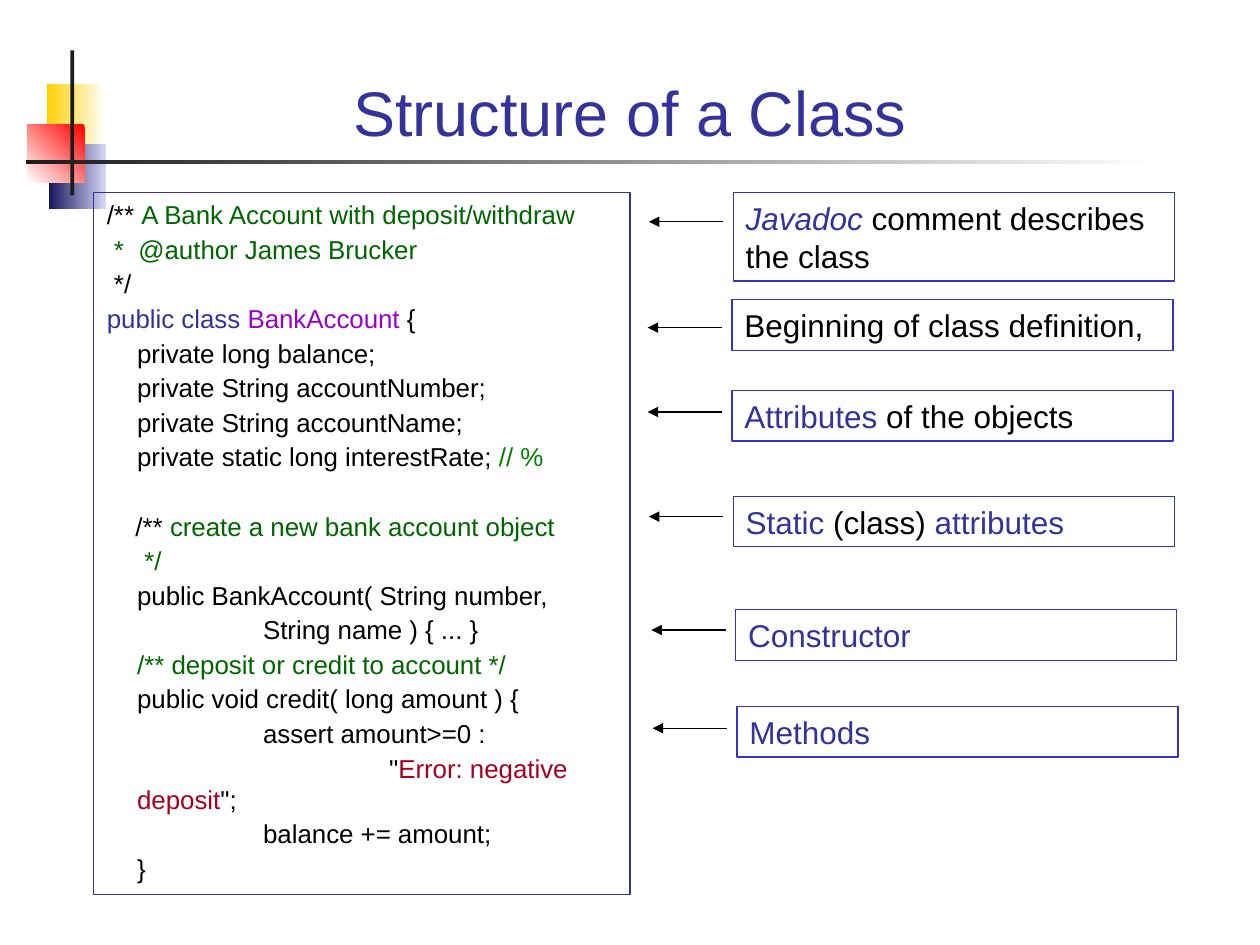
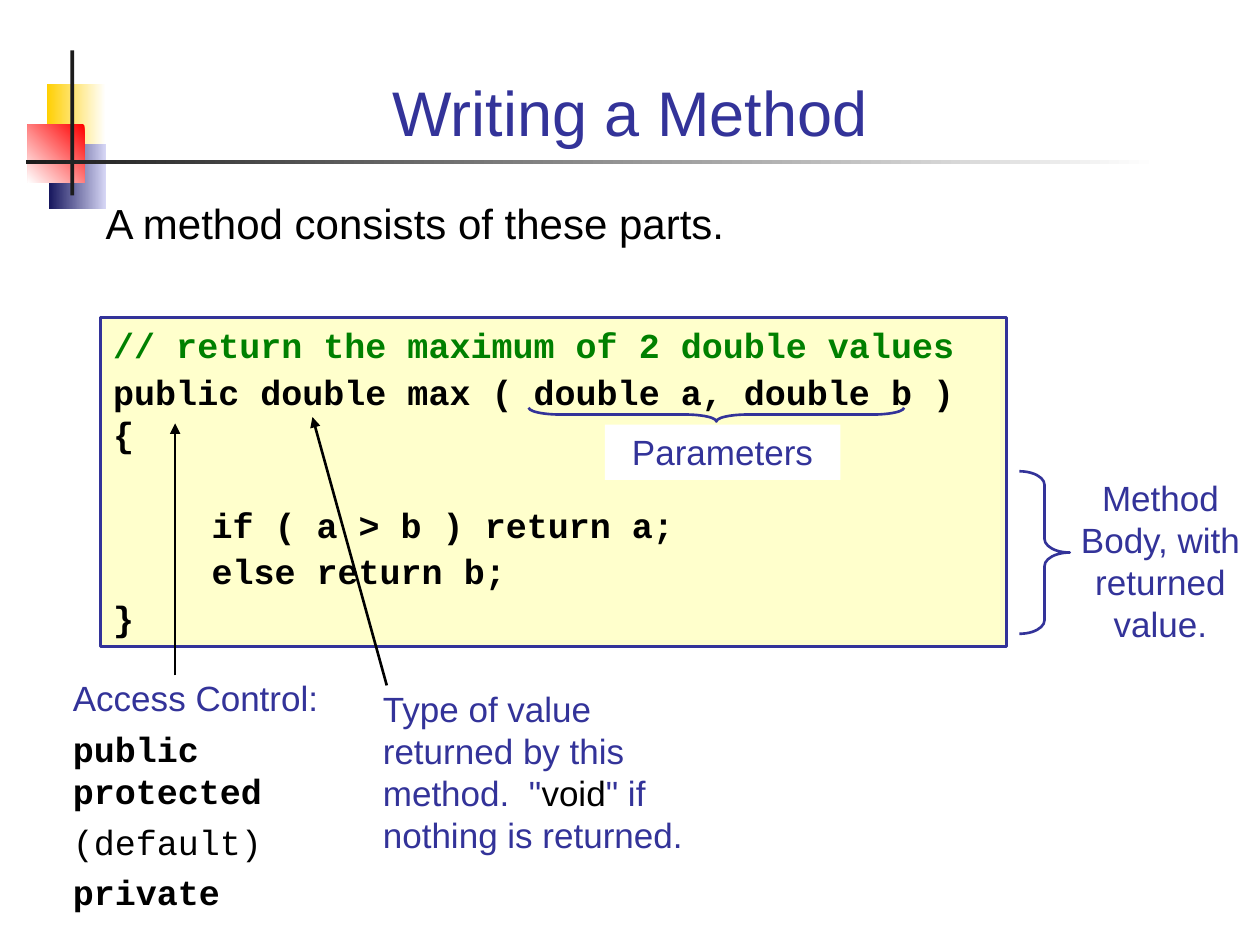
from dataclasses import dataclass

from lxml import etree
from pptx import Presentation
from pptx import util as u
from pptx.dml.color import RGBColor
from pptx.enum import shapes, text
from pptx.oxml.ns import qn

PX = 9144  # 100 px to the inch
TITLE_ONLY = 5

BLACK = RGBColor(0x00, 0x00, 0x00)
WHITE = RGBColor(0xFF, 0xFF, 0xFF)
INDIGO = RGBColor(0x33, 0x33, 0x99)
BLUE = RGBColor(0x33, 0x33, 0xCC)
NAVY = RGBColor(0x17, 0x17, 0x5E)
LAVENDER = RGBColor(0xD6, 0xD6, 0xF5)
YELLOW = RGBColor(0xFF, 0xCF, 0x01)
RED = RGBColor(0xFF, 0x00, 0x00)
CHARCOAL = RGBColor(0x1C, 0x1C, 0x1C)
CREAM = RGBColor(0xFF, 0xFF, 0xCC)
DARK_GREEN = RGBColor(0x00, 0x66, 0x00)
GREEN = RGBColor(0x00, 0x80, 0x00)
PURPLE = RGBColor(0x99, 0x00, 0xCC)
CRIMSON = RGBColor(0xA5, 0x00, 0x21)

SANS = "Arial"
MONO = "Courier New"
CENTER = text.PP_ALIGN.CENTER


@dataclass(frozen=True)
class Span:
    text: str
    color: RGBColor = BLACK
    font: str = SANS
    bold: bool = False
    italic: bool = False


@dataclass(frozen=True)
class Para:
    spans: tuple[Span, ...]
    before: float = 0


@dataclass(frozen=True)
class ParaStyle:
    size: float
    align: text.PP_ALIGN = text.PP_ALIGN.LEFT
    margin: int = 0
    indent: int = 0
    tab: int = 100


@dataclass(frozen=True)
class Band:
    area: tuple[int, int, int, int]
    start: RGBColor
    end: RGBColor
    angle: int = 180  # clockwise


@dataclass(frozen=True)
class Callout:
    left: int
    top: int
    height: int
    arrow_y: int
    spans: tuple[Span, ...]


BANDS = (
    Band((37, 67, 47, 52), WHITE, YELLOW),
    Band((39, 114, 45, 52), LAVENDER, NAVY),
    Band((22, 99, 45, 46), RED, WHITE, 135),
    Band((56, 40, 3, 115), CHARCOAL, CHARCOAL),
    Band((21, 127, 899, 3), WHITE, CHARCOAL),
)


def px(*lengths: int) -> list[u.Emu]:
    return [u.Emu(length * PX) for length in lengths]


def line(before: float, *spans: Span) -> Para:
    return Para(spans, before)


# Text
def format_para(para, style: ParaStyle, before: float) -> None:
    props = para._p.get_or_add_pPr()
    props.set("marL", str(style.margin * PX))
    props.set("indent", str(style.indent * PX))
    props.set("defTabSz", str(style.tab * PX))
    para.alignment = style.align
    para.line_spacing = 1.0
    para.space_before = u.Pt(before)
    etree.SubElement(props, qn("a:buNone"))
    para.font.size = u.Pt(style.size)


def write(frame, paras: tuple[Para, ...], style: ParaStyle) -> None:
    frame.word_wrap = True
    frame.auto_size = text.MSO_AUTO_SIZE.NONE
    for index, item in enumerate(paras):
        para = frame.add_paragraph() if index else frame.paragraphs[0]
        format_para(para, style, item.before)
        for span in item.spans:
            run = para.add_run()
            run.text = span.text
            run.font.name = span.font
            run.font.size = u.Pt(style.size)
            run.font.bold = span.bold
            run.font.italic = span.italic
            run.font.color.rgb = span.color


def add_box(page, area: tuple[int, int, int, int], paras: tuple[Para, ...],
            style: ParaStyle, fill: RGBColor | None = None,
            border: RGBColor | None = None, weight: float = 0.75) -> None:
    box = page.shapes.add_textbox(*px(*area))
    if fill is not None:
        box.fill.solid()
        box.fill.fore_color.rgb = fill
    if border is not None:
        box.line.color.rgb = border
        box.line.width = u.Pt(weight)
    write(box.text_frame, paras, style)


# Lines and braces
def add_arrow(page, start: tuple[int, int], end: tuple[int, int],
              weight: float) -> None:
    arrow = page.shapes.add_connector(
        shapes.MSO_CONNECTOR.STRAIGHT, *px(*start, *end))
    arrow.line.color.rgb = BLACK
    arrow.line.width = u.Pt(weight)
    etree.SubElement(arrow.line._get_or_add_ln(), qn("a:tailEnd"), type="triangle")
    etree.SubElement(arrow._element.spPr, qn("a:effectLst"))


def add_brace(page, area: tuple[int, int, int, int], curve: float,
              rotation: int = 0) -> None:
    brace = page.shapes.add_shape(shapes.MSO_SHAPE.RIGHT_BRACE, *px(*area))
    brace.shadow.inherit = False
    brace.adjustments[0] = curve
    brace.rotation = rotation
    brace.fill.background()
    brace.line.color.rgb = INDIGO
    brace.line.width = u.Pt(1.5)


# Shared page: corner blocks, rule and title
def add_band(page, band: Band) -> None:
    block = page.shapes.add_shape(shapes.MSO_SHAPE.RECTANGLE, *px(*band.area))
    block.shadow.inherit = False
    block.line.fill.background()
    if band.start == band.end:
        block.fill.solid()
        block.fill.fore_color.rgb = band.start
        return
    block.fill.gradient()
    block.fill.gradient_angle = 360 - band.angle
    stops = block.fill.gradient_stops
    for stop, color, position in zip(stops, (band.start, band.end), (0, 1)):
        stop.color.rgb = color
        stop.position = position


def add_page(deck, heading: str):
    page = deck.slides.add_slide(deck.slide_layouts[TITLE_ONLY])
    for band in BANDS:
        add_band(page, band)
    title = page.shapes.title
    title.left, title.top, title.width, title.height = px(67, 28, 866, 95)
    title.text_frame.vertical_anchor = text.MSO_ANCHOR.BOTTOM
    write(title.text_frame, (line(0, Span(heading, INDIGO)),),
          ParaStyle(36, CENTER))
    return page


# Slide 1
CLASS_CODE = (
    line(0, Span("/** "), Span("A Bank Account with deposit/withdraw", DARK_GREEN)),
    line(2, Span(" *  @author James Brucker", DARK_GREEN)),
    line(2, Span(" */")),
    line(2, Span("public class ", INDIGO), Span("BankAccount", PURPLE), Span(" {")),
    line(2, Span("\tprivate long balance;")),
    line(2, Span("\tprivate String accountNumber;")),
    line(2, Span("\tprivate String accountName;")),
    line(2, Span("\tprivate static long interestRate; "), Span("// %", GREEN)),
    line(21.8, Span("    /** "),
         Span("create a new bank account object", DARK_GREEN)),
    line(2, Span("\t */", DARK_GREEN)),
    line(2, Span("\tpublic BankAccount( String number,")),
    line(2, Span("\t\tString name ) { ... }")),
    line(2, Span("\t/** deposit or credit to account */", DARK_GREEN)),
    line(2, Span("\tpublic void credit( long amount ) {")),
    line(2, Span("\t\tassert amount>=0 :")),
    line(2, Span("\t\t\t\""), Span("Error: negative deposit", CRIMSON), Span("\";")),
    line(2, Span("\t\tbalance += amount;")),
    line(2, Span(" \t}")),
)

CALLOUTS = (
    Callout(582, 153, 70, 176, (Span("Javadoc", INDIGO, italic=True),
                                Span(" comment describes the class"))),
    Callout(581, 238, 40, 260, (Span("Beginning of class definition,"),)),
    Callout(581, 310, 40, 327, (Span("Attributes", INDIGO),
                                Span(" of the objects"))),
    Callout(582, 394, 40, 410, (Span("Static", INDIGO), Span(" (class) "),
                                Span("attributes", INDIGO))),
    Callout(584, 484, 40, 500, (Span("Constructor", INDIGO),)),
    Callout(585, 561, 40, 578, (Span("Methods", INDIGO),)),
)


def build_class_page(deck) -> None:
    page = add_page(deck, "Structure of a Class")
    add_box(page, (74, 153, 426, 557), CLASS_CODE,
            ParaStyle(14.8, margin=25, indent=-24), border=INDIGO)
    for callout in CALLOUTS:
        tail = callout.left - 8
        add_arrow(page, (tail, callout.arrow_y), (tail - 59, callout.arrow_y), 0.75)
        add_box(page, (callout.left, callout.top, 350, callout.height),
                (Para(callout.spans),), ParaStyle(18), border=BLUE)


# Slide 2
def code(words: str, color: RGBColor = BLACK, bold: bool = True) -> Span:
    return Span(words, color, MONO, bold)


METHOD_CODE = (
    line(0, code("// return the maximum of 2 double values", GREEN)),
    line(2.5, code("public double max ( double a, double b ) {")),
    line(28.2, code("\t\tif ( a > b ) return a;")),
    line(2.5, code("\t\telse return b;")),
    line(2.5, code("}")),
)

ACCESS_LEVELS = (
    line(0, Span("Access Control:", INDIGO)),
    line(5, code("public")),
    line(0, code("protected")),
    line(5, code("(default)", bold=False)),
    line(5, code("private")),
)

RETURN_TYPE = (
    line(0, Span("Type of value returned by this method.  \"", INDIGO),
         Span("void"), Span("\" if nothing is returned.", INDIGO)),
)


def build_method_page(deck) -> None:
    page = add_page(deck, "Writing a Method")
    label, centered = ParaStyle(20), ParaStyle(20, CENTER)
    add_box(page, (74, 152, 866, 88),
            (line(0, Span("A method consists of these parts.")),), ParaStyle(24))
    add_box(page, (80, 252, 719, 261), METHOD_CODE, ParaStyle(20, tab=39),
            fill=CREAM, border=INDIGO, weight=1.5)
    # Access control and return type
    add_arrow(page, (139, 536), (139, 336), 1.5)
    add_box(page, (48, 532, 227, 198), ACCESS_LEVELS, label)
    add_arrow(page, (307, 544), (248, 331), 1.5)
    add_box(page, (294, 541, 285, 144), RETURN_TYPE, label)
    # Parameters and body
    add_brace(page, (563, 180, 11, 298), 2.27, 90)
    add_box(page, (480, 337, 187, 44), (line(0, Span("Parameters", INDIGO)),),
            centered, fill=WHITE)
    add_box(page, (842, 373, 158, 144),
            (line(0, Span("Method Body, with returned value.", INDIGO)),), centered)
    add_brace(page, (809, 374, 40, 129), 0.27)


def main() -> None:
    deck = Presentation()
    deck.slide_width, deck.slide_height = px(1000, 750)
    build_class_page(deck)
    build_method_page(deck)
    deck.save("out.pptx")


if __name__ == "__main__":
    main()
